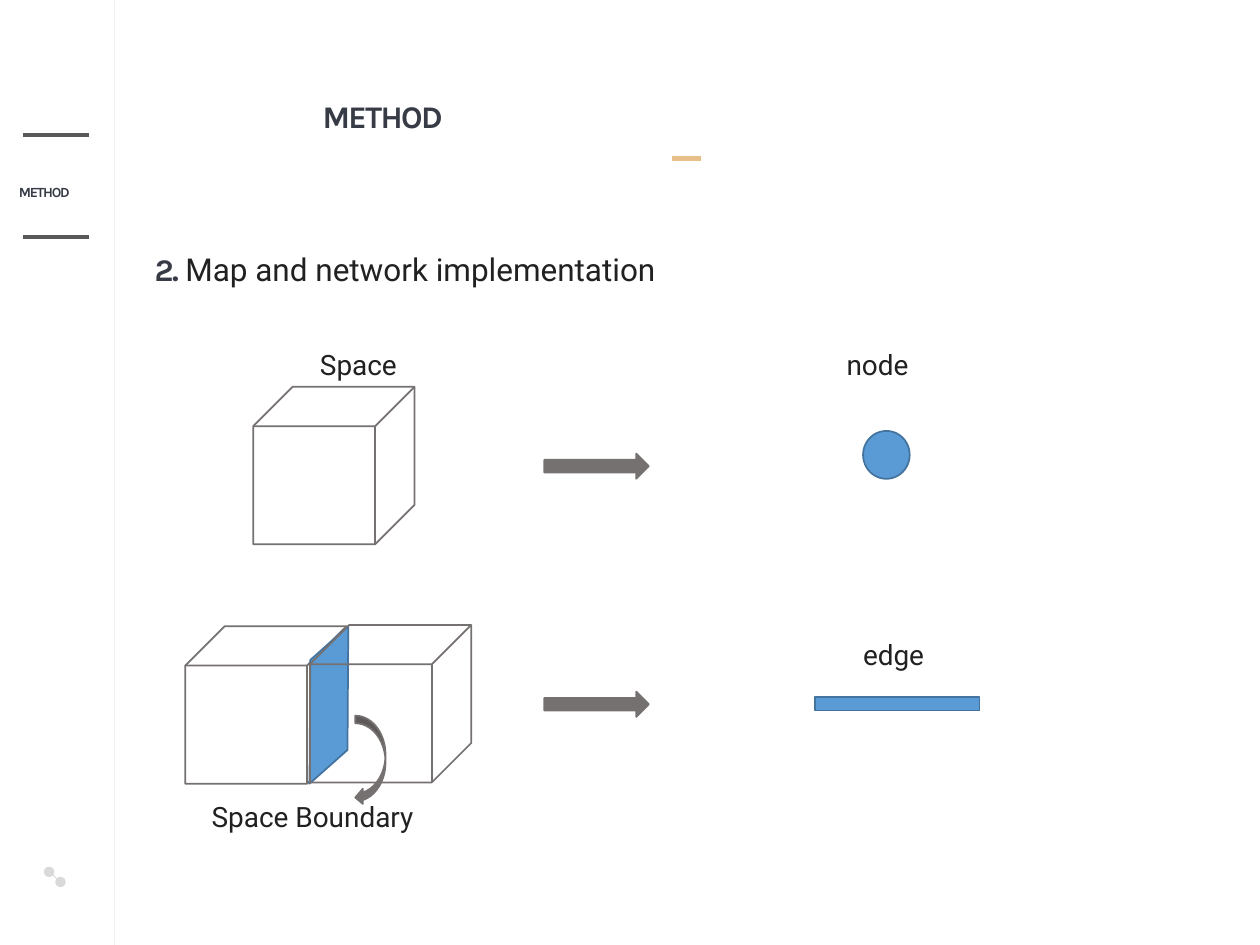
from lxml.etree import SubElement
from pptx import Presentation
from pptx.dml.color import RGBColor
from pptx.enum.shapes import MSO_CONNECTOR, MSO_SHAPE
from pptx.enum.text import MSO_ANCHOR, MSO_AUTO_SIZE, PP_ALIGN
from pptx.oxml.ns import qn
from pptx.util import Inches, Pt

DARK, INK, GRAY = "373B46", "212121", "767171"
BLUE, BLUE_EDGE = "5B9BD5", "43739E"


def style_text(font, name, size, color, bold=False):
    font.name, font.size, font.bold = name, Pt(size), bold
    font.color.rgb = RGBColor.from_string(color)


def draw(kind, left, top, width, height, line, fill=None):
    shape = slide.shapes.add_shape(
        kind, Inches(left), Inches(top), Inches(width), Inches(height))
    shape.shadow.inherit = False
    if fill:
        shape.fill.solid()
        shape.fill.fore_color.rgb = RGBColor.from_string(fill)
    else:
        shape.fill.background()
    shape.line.color.rgb = RGBColor.from_string(line)
    shape.line.width = Pt(1)
    return shape


prs = Presentation()
prs.slide_width, prs.slide_height = Inches(10), Inches(7.5)
slide = prs.slides.add_slide(prs.slide_layouts[5])

# Side rail, node-link mark and title accent
for x1, y1, x2, y2, color, width, ends in [
    (0.91, 0, 0.91, 7.5, "F2F2F2", 0.5, None),
    (0.39, 6.92, 0.48, 7, "D9D9D9", 0.5, "oval"),
    (0.18, 1.88, 0.71, 1.88, "595959", 2, None),
    (0.18, 1.07, 0.71, 1.07, "595959", 2, None),
    (5.33, 1.26, 5.56, 1.26, "E8BF89", 2.75, None),
]:
    rule = slide.shapes.add_connector(
        MSO_CONNECTOR.STRAIGHT, Inches(x1), Inches(y1), Inches(x2), Inches(y2))
    rule.line.color.rgb = RGBColor.from_string(color)
    rule.line.width = Pt(width)
    if ends:
        for end in ("a:headEnd", "a:tailEnd"):
            SubElement(rule.line._get_or_add_ln(), qn(end), type=ends)
    SubElement(rule._element.spPr, qn("a:effectLst"))

# Title, section name in the rail, and heading
title = slide.shapes.title
title.left, title.top = Inches(2.46), Inches(0.67)
title.width, title.height = Inches(5.98), Inches(0.5)
section = slide.shapes.add_textbox(
    Inches(0.15), Inches(1.08), Inches(0.59), Inches(0.82))
section.text_frame.margin_left = section.text_frame.margin_right = 0
heading = slide.shapes.add_textbox(
    Inches(1.13), Inches(1.82), Inches(4.53), Inches(0.69))

for box, words, size, tracking, spacing, align in [
    (title, "METHOD", 18, -90, 1.0, PP_ALIGN.JUSTIFY),
    (section, "METHOD", 8, -70, 1.5, PP_ALIGN.JUSTIFY),
    (heading, "2. ", 18, -90, 0.8, PP_ALIGN.LEFT),
]:
    frame = box.text_frame
    frame.word_wrap = True
    frame.auto_size = MSO_AUTO_SIZE.NONE
    frame.vertical_anchor = MSO_ANCHOR.MIDDLE
    paragraph = frame.paragraphs[0]
    paragraph.alignment, paragraph.line_spacing = align, spacing
    run = paragraph.add_run()
    run.text = words
    style_text(run.font, "Karla", size, DARK, bold=True)
    run.font._element.set("spc", str(tracking))

topic = heading.text_frame.paragraphs[0].add_run()
topic.text = "Map and network implementation"
style_text(topic.font, "Roboto", 18, INK)

# Spaces, with the boundary between the two adjoining ones
for left, top in [(2.01, 3.07), (1.47, 4.97)]:
    draw(MSO_SHAPE.CUBE, left, top, 1.28, 1.25, GRAY)
boundary = draw(MSO_SHAPE.PARALLELOGRAM, 2.08, 5.23, 1.06, 0.73, BLUE_EDGE, BLUE)
boundary.adjustments[0] = 0.9
boundary.rotation = 138.4
draw(MSO_SHAPE.CUBE, 2.46, 4.96, 1.28, 1.25, GRAY)

# Arrows to the network elements
for top in (3.6, 5.49):
    draw(MSO_SHAPE.RIGHT_ARROW, 4.32, top, 0.83, 0.2, GRAY, GRAY)
draw(MSO_SHAPE.FLOWCHART_CONNECTOR, 6.85, 3.42, 0.37, 0.38, BLUE_EDGE, BLUE)
draw(MSO_SHAPE.MATH_MINUS, 6.23, 5.35, 1.78, 0.47, BLUE_EDGE, BLUE)

for words, left, top, width in [
    ("Space", 2.33, 2.76, 1.06),
    ("node", 6.51, 2.76, 1.06),
    ("Space Boundary", 1.47, 6.35, 2.18),
    ("edge", 6.64, 5.06, 1.06),
]:
    label = slide.shapes.add_textbox(
        Inches(left), Inches(top), Inches(width), Inches(0.32)).text_frame
    label.word_wrap = True
    label.auto_size = MSO_AUTO_SIZE.SHAPE_TO_FIT_TEXT
    label.margin_left = Inches(0.21)
    label.text = words
    paragraph = label.paragraphs[0]
    paragraph.line_spacing = 0.8
    style_text(paragraph.font, "Roboto", 16, INK)

draw(MSO_SHAPE.CURVED_LEFT_ARROW, 2.82, 5.68, 0.24, 0.71, GRAY, GRAY)

prs.save("out.pptx")
